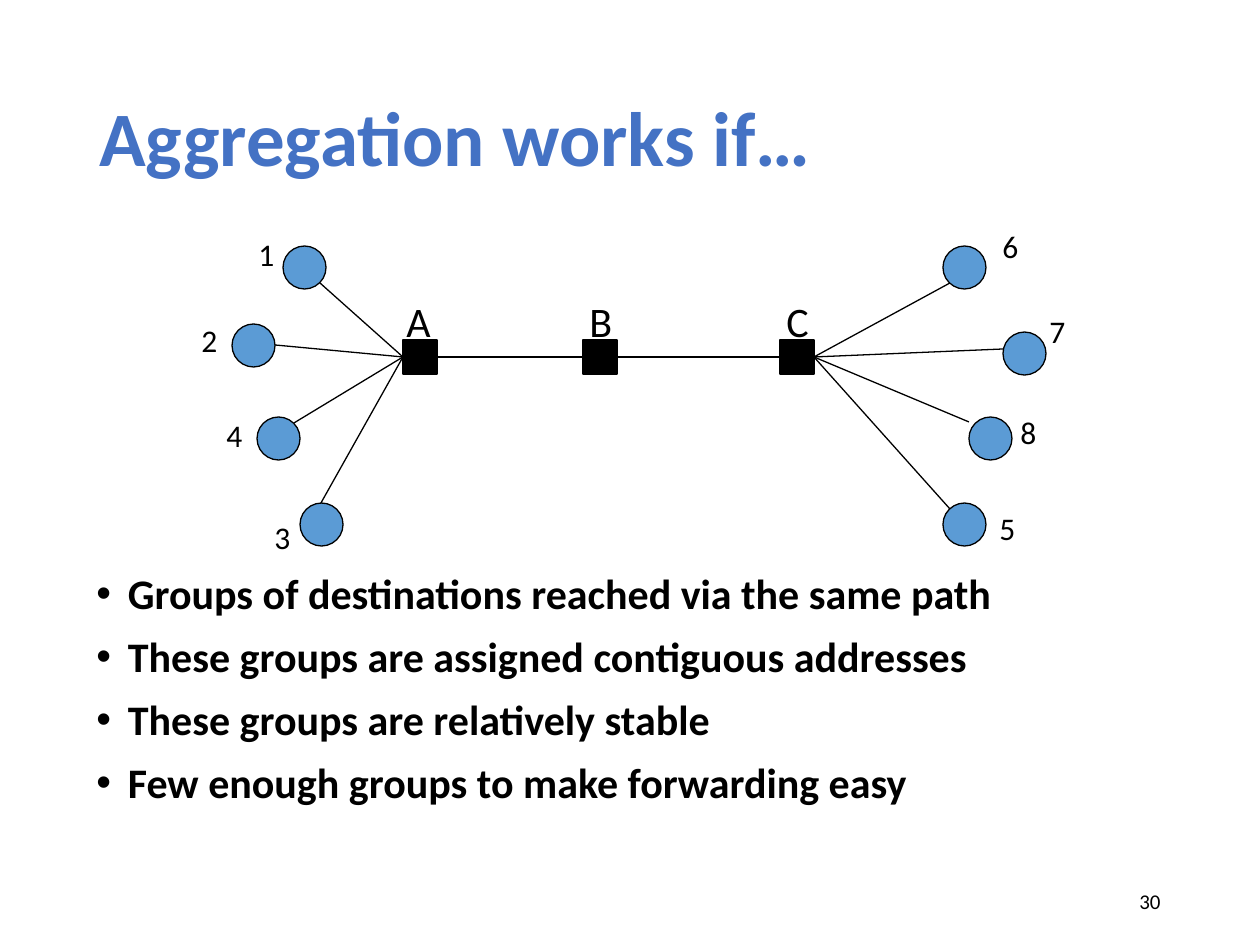
from lxml.etree import SubElement
from pptx import Presentation
from pptx.dml.color import RGBColor
from pptx.enum.shapes import MSO_CONNECTOR, MSO_SHAPE
from pptx.enum.text import MSO_ANCHOR, PP_ALIGN
from pptx.oxml.ns import qn
from pptx.util import Pt

PX = 914400 // 126
BLACK = RGBColor(0, 0, 0)
TITLE_BLUE = RGBColor(0x44, 0x72, 0xC4)
HOST_BLUE = RGBColor(0x5B, 0x9B, 0xD5)
FONT = "Calibri"

TITLE = "Aggregation works if…"
BULLETS = [
    "Groups of destinations reached via the same path",
    "These groups are assigned contiguous addresses",
    "These groups are relatively stable",
    "Few enough groups to make forwarding easy",
]
PAGE_NUMBER = "30"

ROUTER_SIZE, ROUTER_TOP = 34, 340
HOST_SIZE = 43
ROUTERS = {"A": 403, "B": 583, "C": 780}  # left edges
LETTER_LEFT = {"A": 394, "B": 577, "C": 774}
# host: (router, circle corner, link end, label corner)
HOSTS = {
    "1": ("A", (283, 246), (320, 283), (246, 229)),
    "2": ("A", (232, 324), (275, 345), (189, 315)),
    "3": ("A", (300, 503), (321, 503), (262, 512)),
    "4": ("A", (257, 417), (294, 423), (214, 410)),
    "5": ("C", (943, 503), (950, 509), (987, 503)),
    "6": ("C", (943, 246), (950, 283), (990, 221)),
    "7": ("C", (1003, 332), (1003, 349), (1037, 306)),
    "8": ("C", (969, 417), (969, 422), (1008, 407)),
}


def px(*lengths):
    return [length * PX for length in lengths]


def add_text(slide, box, lines, size, color=BLACK, bold=False, wrap=True, anchor=MSO_ANCHOR.TOP):
    frame = slide.shapes.add_textbox(*px(*box)).text_frame
    frame.word_wrap = wrap
    frame.vertical_anchor = anchor
    frame.text = "\n".join(lines)
    for paragraph in frame.paragraphs:
        for run in paragraph.runs:
            font = run.font
            font.name, font.size, font.bold = FONT, Pt(size), bold
            font.color.rgb = color
    return frame.paragraphs


def add_bullet(paragraph):
    properties = paragraph._p.get_or_add_pPr()
    properties.set("marL", "228600")
    properties.set("indent", "-228600")
    SubElement(properties, qn("a:buFont"), typeface="Arial")
    SubElement(properties, qn("a:buChar"), char="•")


def add_node(slide, kind, left, top, size, fill):
    shape = slide.shapes.add_shape(kind, *px(left, top, size, size))
    shape.shadow.inherit = False
    shape.fill.solid()
    shape.fill.fore_color.rgb = fill
    shape.line.color.rgb = BLACK
    shape.line.width = Pt(0.75)


def add_link(slide, start, end):
    link = slide.shapes.add_connector(MSO_CONNECTOR.STRAIGHT, *px(*start, *end))
    link.line.color.rgb = BLACK
    link.line.width = Pt(0.75)
    SubElement(link._element.spPr, qn("a:effectLst"))


def add_network(slide):
    middle = ROUTER_TOP + ROUTER_SIZE // 2
    for name, left in ROUTERS.items():
        add_node(slide, MSO_SHAPE.RECTANGLE, left, ROUTER_TOP, ROUTER_SIZE, BLACK)
        add_text(slide, (LETTER_LEFT[name], 289, 50, 64), [name], 24, wrap=False)

    lefts = list(ROUTERS.values())
    for left, next_left in zip(lefts, lefts[1:]):
        add_link(slide, (left + ROUTER_SIZE, middle), (next_left, middle))

    outer_sides = {"A": ROUTERS["A"], "C": ROUTERS["C"] + ROUTER_SIZE}
    for name, (router, corner, link_end, label) in HOSTS.items():
        add_node(slide, MSO_SHAPE.OVAL, *corner, HOST_SIZE, HOST_BLUE)
        add_link(slide, link_end, (outer_sides[router], middle))
        add_text(slide, (*label, 42, 46), [name], 18, wrap=False)


def main():
    presentation = Presentation()
    presentation.slide_width, presentation.slide_height = px(1260, 945)
    slide = presentation.slides.add_slide(presentation.slide_layouts[6])

    title = add_text(slide, (87, 50, 1086, 183), [TITLE], 44, TITLE_BLUE, True,
                     anchor=MSO_ANCHOR.MIDDLE)
    title[0].line_spacing = 0.9

    bullets = add_text(slide, (84, 567, 1092, 263), BULLETS, 24, bold=True)
    for index, paragraph in enumerate(bullets):
        paragraph.line_spacing = 0.9
        if index:
            paragraph.space_before = Pt(10)
        add_bullet(paragraph)

    number = add_text(slide, (890, 876, 283, 50), [PAGE_NUMBER], 12, anchor=MSO_ANCHOR.MIDDLE)
    number[0].alignment = PP_ALIGN.RIGHT

    add_network(slide)
    presentation.save("out.pptx")


if __name__ == "__main__":
    main()
